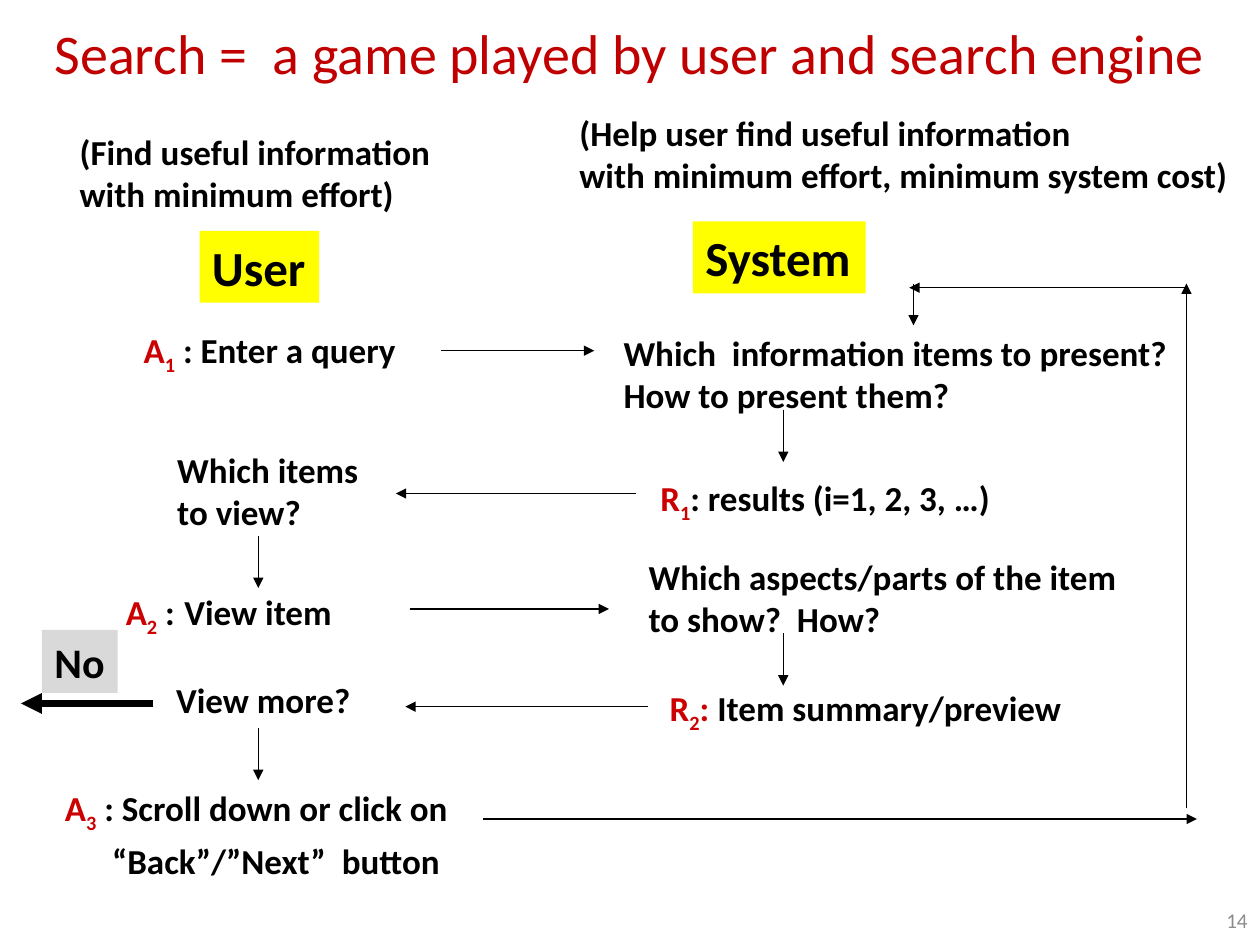
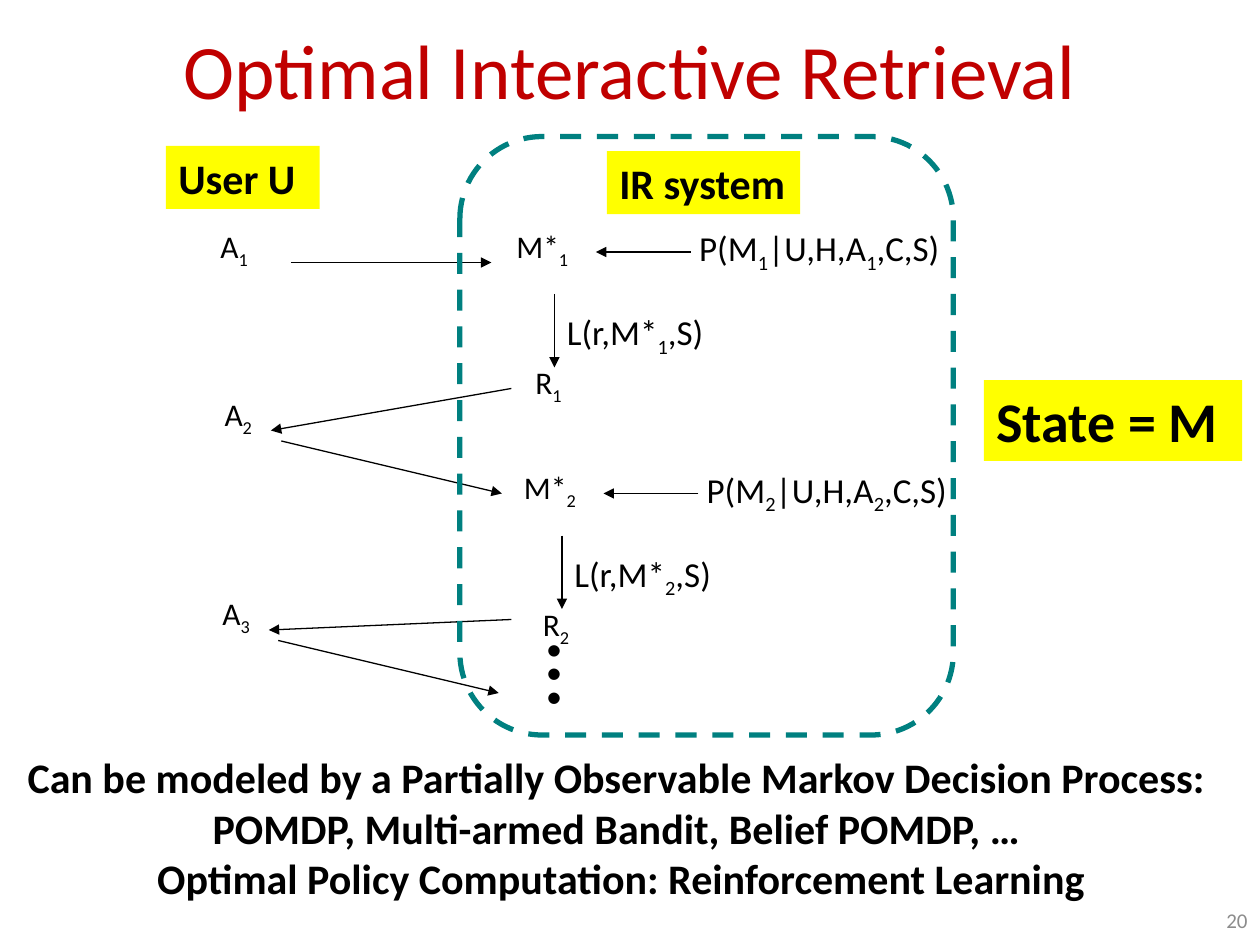
"""Builds two slides that describe search as a cooperative game of user and system."""
from dataclasses import dataclass
from typing import NamedTuple, Optional

from lxml import etree
from pptx import Presentation
from pptx import util as u
from pptx.dml.color import RGBColor
from pptx.enum import dml, shapes, text
from pptx.oxml.ns import qn

FONT = "Calibri"
BLACK = RGBColor(0x00, 0x00, 0x00)
TITLE_RED = RGBColor(0xC0, 0x00, 0x00)
STEP_RED = RGBColor(0xCC, 0x00, 0x00)
YELLOW = RGBColor(0xFF, 0xFF, 0x00)
GREY = RGBColor(0xD9, 0xD9, 0xD9)
PAGE_GREY = RGBColor(0x8C, 0x8C, 0x8C)
TEAL = RGBColor(0x00, 0x80, 0x80)

SLIDE_W, SLIDE_H = u.Inches(10), u.Inches(7.5)
COLUMNS, ROWS = 120, 90
ROUND_SHIFT_X, ROUND_SHIFT_Y = 0.72, 23


class Area(NamedTuple):
    left: float
    top: float
    width: float
    height: float


class Run(NamedTuple):
    words: str
    color: RGBColor = BLACK
    size: Optional[float] = None


@dataclass
class Note:
    area: Area
    lines: list[list[Run]]
    size: float = 20
    bold: bool = True
    align: text.PP_ALIGN = text.PP_ALIGN.LEFT
    wrap: bool = False


@dataclass
class Label:
    area: Area
    words: str
    size: float
    fill: RGBColor = YELLOW


class Arrow(NamedTuple):
    x1: float
    y1: float
    x2: float
    y2: float
    weight: float = 0.75


def col(n: float) -> int:
    return round(SLIDE_W * n / COLUMNS)


def row(n: float) -> int:
    return round(SLIDE_H * n / ROWS)


def emu(area: Area) -> tuple[int, int, int, int]:
    return col(area.left), row(area.top), col(area.width), row(area.height)


def plain(*lines: str) -> list[list[Run]]:
    return [[Run(line)] for line in lines]


def step(mark: str, words: str) -> list[Run]:
    return [Run(mark, STEP_RED), Run(words)]


def add_run(paragraph, words: str, size: float, bold: bool, color: RGBColor, sub=False) -> None:
    run = paragraph.add_run()
    run.text = words
    font = run.font
    font.name, font.size, font.bold = FONT, u.Pt(size), bold
    font.color.rgb = color
    if sub:
        run._r.get_or_add_rPr().set("baseline", "-25000")


def write_line(paragraph, line: list[Run], size: float, bold: bool) -> None:
    for run in line:
        head, *marked = run.words.split("_")
        pieces = [(head, False)]
        for part in marked:
            pieces += [(part[0], True), (part[1:], False)]
        for words, sub in pieces:
            if words:
                add_run(paragraph, words, run.size or size, bold, run.color, sub)


def draw_note(slide, note: Note):
    box = slide.shapes.add_textbox(*emu(note.area))
    frame = box.text_frame
    frame.word_wrap = note.wrap
    frame.auto_size = text.MSO_AUTO_SIZE.SHAPE_TO_FIT_TEXT
    for index, line in enumerate(note.lines):
        paragraph = frame.add_paragraph() if index else frame.paragraphs[0]
        paragraph.alignment = note.align
        write_line(paragraph, line, note.size, note.bold)
    return box


def draw_label(slide, label: Label) -> None:
    box = slide.shapes.add_shape(shapes.MSO_SHAPE.RECTANGLE, *emu(label.area))
    box.shadow.inherit = False
    box.fill.solid()
    box.fill.fore_color.rgb = label.fill
    box.line.fill.background()
    frame = box.text_frame
    frame.word_wrap = True
    frame.margin_right = 0
    frame.vertical_anchor = text.MSO_ANCHOR.TOP
    frame.paragraphs[0].alignment = text.PP_ALIGN.LEFT
    add_run(frame.paragraphs[0], label.words, label.size, True, BLACK)


def draw_arrow(slide, arrow: Arrow):
    line = slide.shapes.add_connector(
        shapes.MSO_CONNECTOR.STRAIGHT,
        col(arrow.x1), row(arrow.y1), col(arrow.x2), row(arrow.y2))
    line.line.color.rgb = BLACK
    line.line.width = u.Pt(arrow.weight)
    properties = line._element.spPr
    etree.SubElement(properties.find(qn("a:ln")), qn("a:tailEnd"), type="triangle")
    etree.SubElement(properties, qn("a:effectLst"))
    return line


def start_slide(deck, title: str, area: Area, size: float, page: str):
    slide = deck.slides.add_slide(deck.slide_layouts[5])
    heading = slide.shapes.title
    heading.left, heading.top, heading.width, heading.height = emu(area)
    heading.text_frame.vertical_anchor = text.MSO_ANCHOR.MIDDLE
    paragraph = heading.text_frame.paragraphs[0]
    paragraph.alignment = text.PP_ALIGN.CENTER
    add_run(paragraph, title, size, False, TITLE_RED)
    number = draw_note(slide, Note(Area(92, 85.2, 28, 4.8), [[Run(page, PAGE_GREY)]], 12,
                                   False, text.PP_ALIGN.RIGHT, True))
    number.text_frame.auto_size = text.MSO_AUTO_SIZE.NONE
    number.text_frame.vertical_anchor = text.MSO_ANCHOR.MIDDLE
    return slide


def build_search_game(deck) -> None:
    slide = start_slide(deck, "Search =  a game played by user and search engine",
                        Area(-3, -2, 126, 14), 32, "14")
    for label in (Label(Area(19, 22, 11.4, 6.84), "User", 28),
                  Label(Area(66, 21.1, 16.44, 6.84), "System", 28),
                  Label(Area(4, 60, 7.2, 6), "No", 24, GREY)):
        draw_label(slide, label)
    for note in (
        Note(Area(6.4, 11.8, 37.6, 9.2), plain("(Find useful information", "with minimum effort)")),
        Note(Area(54, 10, 64.7, 9.2), plain("(Help user find useful information",
                                            "with minimum effort, minimum system cost)")),
        Note(Area(12.5, 30.7, 27.6, 5.3), [step("A_1", " : Enter a query")]),
        Note(Area(58.2, 31, 54.6, 9.2), plain("Which  information items to present?",
                                              "How to present them?")),
        Note(Area(15.7, 42.1, 20.5, 9.2), plain("Which items", "to view?")),
        Note(Area(61.7, 44.8, 34.2, 5.3), [step("R_1", ": results (i=1, 2, 3, …)")]),
        Note(Area(10.8, 55, 22.3, 6), [step("A_2", " :") + [Run(" ", size=24), Run("View item")]]),
        Note(Area(60.6, 52.3, 47.3, 9.2), plain("Which aspects/parts of the item",
                                                "to show?  How?")),
        Note(Area(62.6, 64.8, 40.2, 5.3), [step("R_2: ", "Item summary/preview")]),
        Note(Area(15.6, 64, 19.2, 5.3), plain("View more?")),
    ):
        draw_note(slide, note)
    scroll = draw_note(slide, Note(Area(5, 74.3, 39.4, 9.2), [
        step("A_3", " : Scroll down or click on"), [Run("“Back”/”Next”  button")]]))
    button_line = scroll.text_frame.paragraphs[1]
    button_line.space_before = u.Pt(3)
    button_line._p.get_or_add_pPr().set("marL", str(col(4.5)))

    exchanges = [Arrow(42, 33.4, 56.6, 33.4), Arrow(60.6, 47, 37.7, 47),
                 Arrow(39, 58, 58, 58), Arrow(61.7, 67.3, 38.6, 67.3)]
    descents = [Arrow(x, y, x, y + 5)
                for x, y in ((74.6, 39), (24.6, 51), (74.6, 60.3), (24.6, 69.3))]
    return_loop = [Arrow(46, 78, 114, 78), Arrow(113, 77, 113, 27),
                   Arrow(113, 27.4, 86.6, 27.4), Arrow(87, 27, 87, 31)]
    for arrow in exchanges + descents + return_loop + [Arrow(14.6, 67, 2, 67, 4)]:
        draw_arrow(slide, arrow)


def draw_round(slide, number: int) -> None:
    dx, dy = ROUND_SHIFT_X * (number - 1), ROUND_SHIFT_Y * (number - 1)

    def place(left: float, top: float, width: float, height: float, words: str, size: float):
        area = Area(left + dx, top + dy, width, height)
        return draw_note(slide, Note(area, plain(words), size, False))

    model = place(48, 21, 8.76, 6, f"M*_{number}", 18)
    place(65.4, 21, 25.8, 5.3, f"P(M_{number}|U,H,A_{number},C,S)", 20)
    place(52.8, 29, 15.7, 5.3, f"L(r,M*_{number},S)", 20)
    place(49.8, 34, 6.84, 6, f"R_{number}", 18)
    inference = draw_arrow(slide, Arrow(65.8 + dx, 24 + dy, 56.76 + dx, 24 + dy))
    inference.end_connect(model, 3)
    draw_arrow(slide, Arrow(52.8 + dx, 28 + dy, 52.8 + dx, 35 + dy))


def build_optimal_retrieval(deck) -> None:
    slide = start_slide(deck, "Optimal Interactive Retrieval", Area(0, 0, 120, 13), 44, "20")
    for number in (1, 2):
        draw_round(slide, number)
    for number, (left, top) in enumerate(((19.8, 21), (20.2, 37), (20, 56)), 1):
        draw_note(slide, Note(Area(left, top, 6.6, 6), plain(f"A_{number}"), 18, False))
    for arrow in (Arrow(27.7, 25, 46.8, 25),
                  Arrow(48.7, 37, 25.8, 41), Arrow(26.8, 42, 47.8, 47),
                  Arrow(48.7, 59, 25.6, 60), Arrow(26.5, 61, 47.5, 66)):
        draw_arrow(slide, arrow)
    more_rounds = draw_note(slide, Note(Area(48.7, 60, 13.2, 10.2), plain("…"), 54, False))
    more_rounds.text_frame._txBody.bodyPr.set("vert", "eaVert")

    system = slide.shapes.add_shape(shapes.MSO_SHAPE.FLOWCHART_ALTERNATE_PROCESS,
                                    *emu(Area(43.8, 13, 47, 57)))
    system.shadow.inherit = False
    system.fill.background()
    system.line.color.rgb = TEAL
    system.line.width = u.Pt(3)
    system.line.dash_style = dml.MSO_LINE.DASH

    for label in (Label(Area(15.8, 13.9, 14.64, 6), "User U", 24),
                  Label(Area(57.8, 14.4, 18.4, 6), "IR system", 24),
                  Label(Area(93.7, 36.2, 24.6, 7.7), "State = M", 32)):
        draw_label(slide, label)
    draw_note(slide, Note(Area(0, 71, 118.3, 15.7), plain(
        "Can be modeled by a Partially Observable Markov Decision Process: ",
        "POMDP, Multi-armed Bandit, Belief POMDP, … ",
        "Optimal Policy Computation: Reinforcement Learning"),
        24, True, text.PP_ALIGN.CENTER, True))


def main() -> None:
    deck = Presentation()
    deck.slide_width, deck.slide_height = SLIDE_W, SLIDE_H
    build_search_game(deck)
    build_optimal_retrieval(deck)
    deck.save("out.pptx")


if __name__ == "__main__":
    main()
